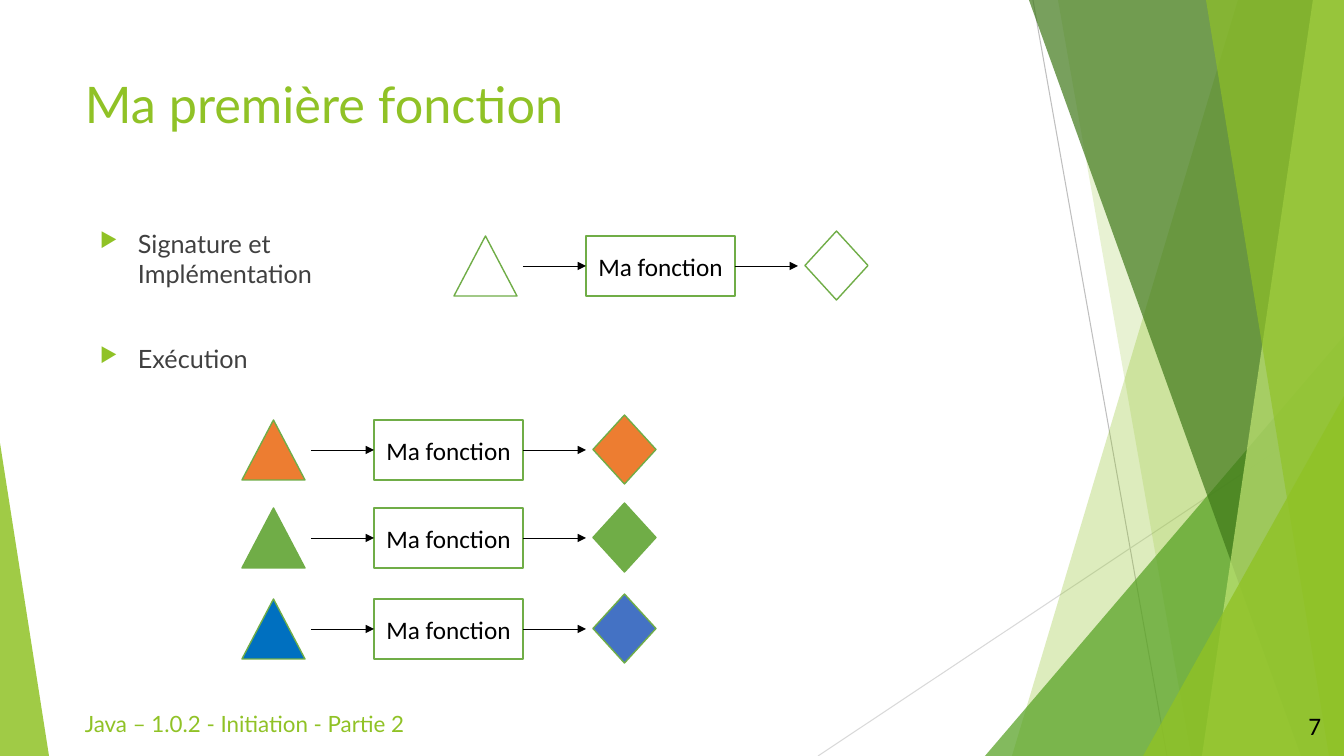
import dataclasses
import pptx
import pptx.dml.color
import pptx.enum.shapes
import pptx.enum.text
import pptx.oxml
import pptx.oxml.ns
import pptx.util

SHAPE = pptx.enum.shapes.MSO_SHAPE
ALIGN = pptx.enum.text.PP_ALIGN
ANCHOR = pptx.enum.text.MSO_ANCHOR


@dataclasses.dataclass(frozen=True)
class Theme:
    lime: str = "90C226"
    leaf: str = "54A021"
    dark: str = "3F7819"
    pale: str = "C0E474"
    edge: str = "70AD47"
    orange: str = "ED7D31"
    blue: str = "0070C0"
    navy: str = "4472C4"
    white: str = "FFFFFF"
    black: str = "000000"
    grey: str = "404040"
    mid: str = "BFBFBF"
    light: str = "D9D9D9"
    head: str = "Lato"
    label: str = "Calibri"
    title: int = 36
    text: int = 18
    foot: int = 16


def px(size):
    return round(size * 914400 / 100.8)


def rgb(code):
    return pptx.dml.color.RGBColor.from_string(code)


def node(tag, **values):
    item = pptx.oxml.parse_xml(f"<a:{tag} {pptx.oxml.ns.nsdecls('a')}/>")
    for key, value in values.items():
        item.set(key, str(value))
    return item


class Deck:
    """Draw the elements of one slide in a shared style."""

    def __init__(self, theme):
        self.theme = theme
        self.show = pptx.Presentation()
        self.show.slide_width, self.show.slide_height = px(1344), px(756)
        self.slide = self.show.slides.add_slide(self.show.slide_layouts[6])
        self.shapes = self.slide.shapes

    def style(self, para, size, color, font):
        for run in para.runs:
            run.font.size = pptx.util.Pt(size)
            run.font.name = font
            run.font.color.rgb = rgb(color)

    def text(self, words, box, size, color, font, align=ALIGN.LEFT, anchor=ANCHOR.TOP):
        frame = self.shapes.add_textbox(*map(px, box)).text_frame
        frame.word_wrap = True
        frame.vertical_anchor = anchor
        frame.text = words
        for para in frame.paragraphs:
            para.alignment = align
            self.style(para, size, color, font)
        return frame

    def list(self, items, box, gap):
        look = self.theme
        frame = self.text("\n".join(items), box, look.text, look.grey, look.head)
        for rank, para in enumerate(frame.paragraphs):
            para.space_before = pptx.util.Pt(gap if rank else 0)
            props = para._p.get_or_add_pPr()
            props.set("marL", str(px(38)))
            props.set("indent", str(-px(38)))
            tint = node("buClr")
            tint.append(node("srgbClr", val=look.lime))
            props.extend([tint, node("buSzPct", val=80000), node("buChar", char="▶")])

    def facet(self, points, color, alpha):
        start, *rest = points
        pen = self.shapes.build_freeform(*start, scale=px(1000) / 1000)
        pen.add_line_segments(rest, close=True)
        shape = pen.convert_to_shape()
        shape.shadow.inherit = False
        shape.fill.solid()
        shape.fill.fore_color.rgb = rgb(color)
        shape.line.fill.background()
        tint = shape._element.spPr.find(".//" + pptx.oxml.ns.qn("a:srgbClr"))
        tint.append(node("alpha", val=alpha * 1000))

    def line(self, ends, color, width, arrow=False):
        kind = pptx.enum.shapes.MSO_CONNECTOR.STRAIGHT
        wire = self.shapes.add_connector(kind, *map(px, ends))
        wire.line.color.rgb = rgb(color)
        wire.line.width = pptx.util.Pt(width)
        if arrow:
            wire.line._get_or_add_ln().append(node("tailEnd", type="triangle"))
        wire._element.spPr.append(node("effectLst"))

    def shape(self, kind, box, fill, words=""):
        look = self.theme
        shape = self.shapes.add_shape(kind, *map(px, box))
        shape.shadow.inherit = False
        shape.fill.solid()
        shape.fill.fore_color.rgb = rgb(fill)
        shape.line.color.rgb = rgb(look.edge)
        shape.line.width = pptx.util.Pt(1)
        if words:
            frame = shape.text_frame
            frame.margin_left = frame.margin_right = 0
            frame.vertical_anchor = ANCHOR.MIDDLE
            frame.text = words
            para = frame.paragraphs[0]
            para.alignment = ALIGN.CENTER
            self.style(para, look.text, look.black, look.label)

    def flow(self, left, top, enter, leave):
        look, mid = self.theme, top + 30
        self.shape(SHAPE.RECTANGLE, (left, top, 149, 60), look.white, "Ma fonction")
        for start in (left - 63, left + 149):
            self.line((start, mid, start + 63, mid), look.black, 0.5, True)
        self.shape(SHAPE.ISOSCELES_TRIANGLE, (left - 132, top, 63, 60), enter)
        self.shape(SHAPE.DIAMOND, (left + 219, top - 5, 63, 69), leave)


def main():
    look = Theme()
    deck = Deck(look)
    deck.line((1033, 0, 1167, 756), look.mid, 0.75)
    deck.line((1344, 406, 818, 756), look.light, 0.75)

    for high, low, color, alpha in (
        ((1238, 0), 1012, look.lime, 30),
        ((1058, 0), 1191, look.lime, 20),
        ((1344, 336), 985, look.leaf, 72),
        ((1029, 0), 1301, look.dark, 70),
        ((1313, 0), 1202, look.pale, 70),
        ((1206, 0), 1329, look.lime, 65),
        ((1344, 396), 1143, look.lime, 80),
    ):
        corner = [] if high[0] == 1344 else [(1344, 0)]
        deck.facet([high, *corner, (1344, 756), (low, 756)], color, alpha)
    deck.facet([(0, 756), (0, 443), (49, 756)], look.lime, 85)

    deck.text("Ma première fonction", (75, 68, 948, 145), look.title, look.lime, look.head)
    deck.text("Java – 1.0.2 - Initiation - Partie 2", (75, 705, 660, 40),
              look.foot, look.lime, look.head)
    deck.list(["Signature et Implémentation", "Exécution"], (90, 223, 336, 466), 39)

    deck.flow(586, 236, look.white, look.white)
    for top, enter, leave in (
        (420, look.orange, look.orange),
        (508, look.edge, look.edge),
        (599, look.blue, look.navy),
    ):
        deck.flow(374, top, enter, leave)

    deck.text("7", (1255, 705, 76, 40), look.text, look.black, look.label,
              ALIGN.RIGHT, ANCHOR.MIDDLE)
    deck.show.save("out.pptx")


if __name__ == "__main__":
    main()
